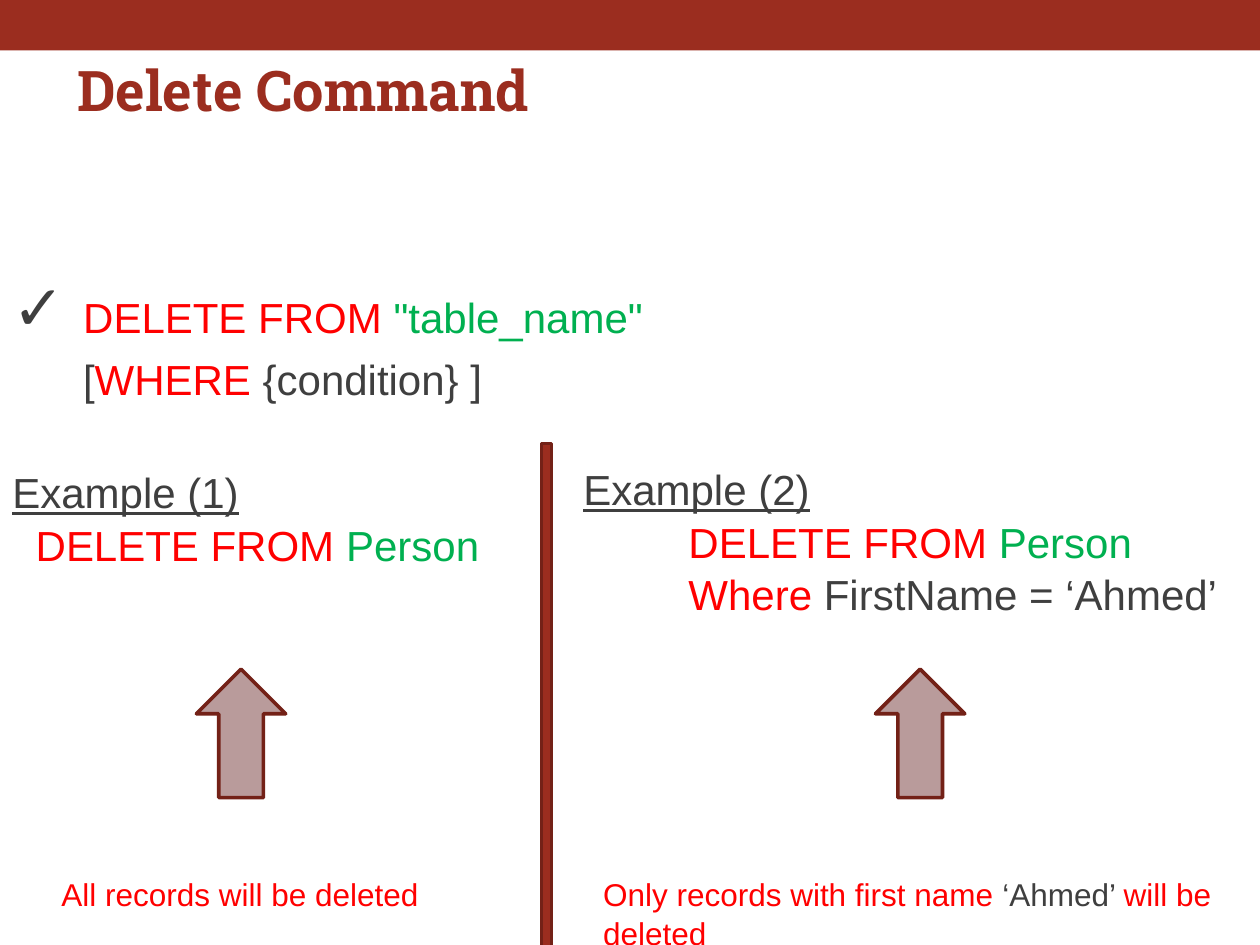
from lxml import etree
from pptx import Presentation
from pptx.dml.color import RGBColor
from pptx.enum.shapes import MSO_SHAPE
from pptx.enum.text import MSO_ANCHOR, MSO_AUTO_SIZE, PP_ALIGN
from pptx.oxml.ns import qn
from pptx.util import Cm, Pt

RECT, UP_ARROW = MSO_SHAPE.RECTANGLE, MSO_SHAPE.UP_ARROW
TOP, MIDDLE = MSO_ANCHOR.TOP, MSO_ANCHOR.MIDDLE
LEFT, NO_FIT = PP_ALIGN.LEFT, MSO_AUTO_SIZE.NONE


class Theme:
    heading_font, body_font = "Roboto Slab", "Arial"
    brand, edge, arrow = "9B2D1F", "732117", "B99B9B"
    text, keyword, name = "3F3F3F", "FF0000", "00B050"
    title, check, code, caption = 32, 36, 24, 18
    line = 2.08


def write(shape, box, paragraphs, size=Theme.code, font=Theme.body_font,
          bold=None, anchor=TOP, spacing=1.04):
    """Paragraphs are (margin, indent, bullet, runs); runs are (text, colour, options)."""
    shape.left, shape.top, shape.width, shape.height = (Cm(v) for v in box)
    tf = shape.text_frame
    tf.word_wrap, tf.auto_size, tf.vertical_anchor = True, NO_FIT, anchor
    for i, (margin, indent, bullet, runs) in enumerate(paragraphs):
        p = tf.add_paragraph() if i else tf.paragraphs[0]
        p.alignment, p.line_spacing, p.space_before = LEFT, spacing, Pt(0)
        pPr = p._p.get_or_add_pPr()
        pPr.set("marL", str(Cm(margin)))
        pPr.set("indent", str(Cm(indent)))
        if bullet:
            etree.SubElement(pPr, qn("a:buChar")).set("char", bullet)
        else:
            etree.SubElement(pPr, qn("a:buNone"))
        for text, color, *options in runs:
            style = options[0] if options else {}
            r = p.add_run()
            r.text = text
            r.font.name, r.font.bold = font, bold
            r.font.size = Pt(style.get("size", size))
            r.font.underline = style.get("underline")
            r.font.color.rgb = RGBColor.from_string(color)


def add_block(s, kind, box, fill, line=None):
    sp = s.shapes.add_shape(kind, *(Cm(v) for v in box))
    sp.shadow.inherit = False
    sp.fill.solid()
    sp.fill.fore_color.rgb = RGBColor.from_string(fill)
    if line:
        sp.line.color.rgb = RGBColor.from_string(line)
        sp.line.width = Pt(Theme.line)
    else:
        sp.line.fill.background()


prs = Presentation()
prs.slide_width, prs.slide_height = Cm(25.4), Cm(19.05)
s = prs.slides.add_slide(prs.slide_layouts[1])

# Top band and title
add_block(s, RECT, (0, 0, 25.4, 1.02), Theme.brand)
write(s.shapes.title, (1.3, 0.99, 24.1, 1.63),
      [(0, 0, None, [("Delete Command", Theme.brand)])],
      size=Theme.title, font=Theme.heading_font, bold=True, spacing=1)

# Syntax
write(s.placeholders[1], (0, 5.11, 25.4, 3.07), [
    (1.07, -1.07, "✓", [(" ", Theme.text, {"size": Theme.check}),
                        ("DELETE FROM ", Theme.keyword),
                        ('"table_name"', Theme.name)]),
    (1.42, 0, None, [("[", Theme.text), ("WHERE", Theme.keyword),
                     (" {condition} ]", Theme.text)]),
], spacing=1.14)

# Divider between the examples
add_block(s, RECT, (10.92, 8.94, 0.2, 10.31), Theme.brand, Theme.edge)

# Examples: heading, code box, code indent, extra code lines
delete = [("DELETE FROM ", Theme.keyword), ("Person", Theme.name)]
where = [("Where", Theme.keyword), (" FirstName = ‘Ahmed’", Theme.text)]
examples = [
    ("Example (1)", (0, 9.12, 10.31, 2.62), 0.47, [delete]),
    ("Example (2)", (11.51, 8.66, 13.69, 4.47), 2.12, [delete, where]),
]
for heading, box, indent, code in examples:
    title = (0, 0, None, [(heading, Theme.text, {"underline": True})])
    write(s.shapes.add_textbox(0, 0, 0, 0), box,
          [title] + [(indent, 0, None, runs) for runs in code], anchor=MIDDLE)

# Arrows and the outcome of each example
outcomes = [
    (3.96, 0.99, 8.53, [("All records will be deleted", Theme.keyword)]),
    (17.65, 11.91, 14.27, [("Only records with first name ", Theme.keyword),
                           ("‘Ahmed’ ", Theme.text),
                           ("will be deleted", Theme.keyword)]),
]
for arrow_left, left, width, runs in outcomes:
    add_block(s, UP_ARROW, (arrow_left, 13.49, 1.8, 2.59), Theme.arrow, Theme.edge)
    write(s.shapes.add_textbox(0, 0, 0, 0), (left, 17.48, width, 1.8),
          [(0, 0, None, runs)], size=Theme.caption)

prs.save("out.pptx")
